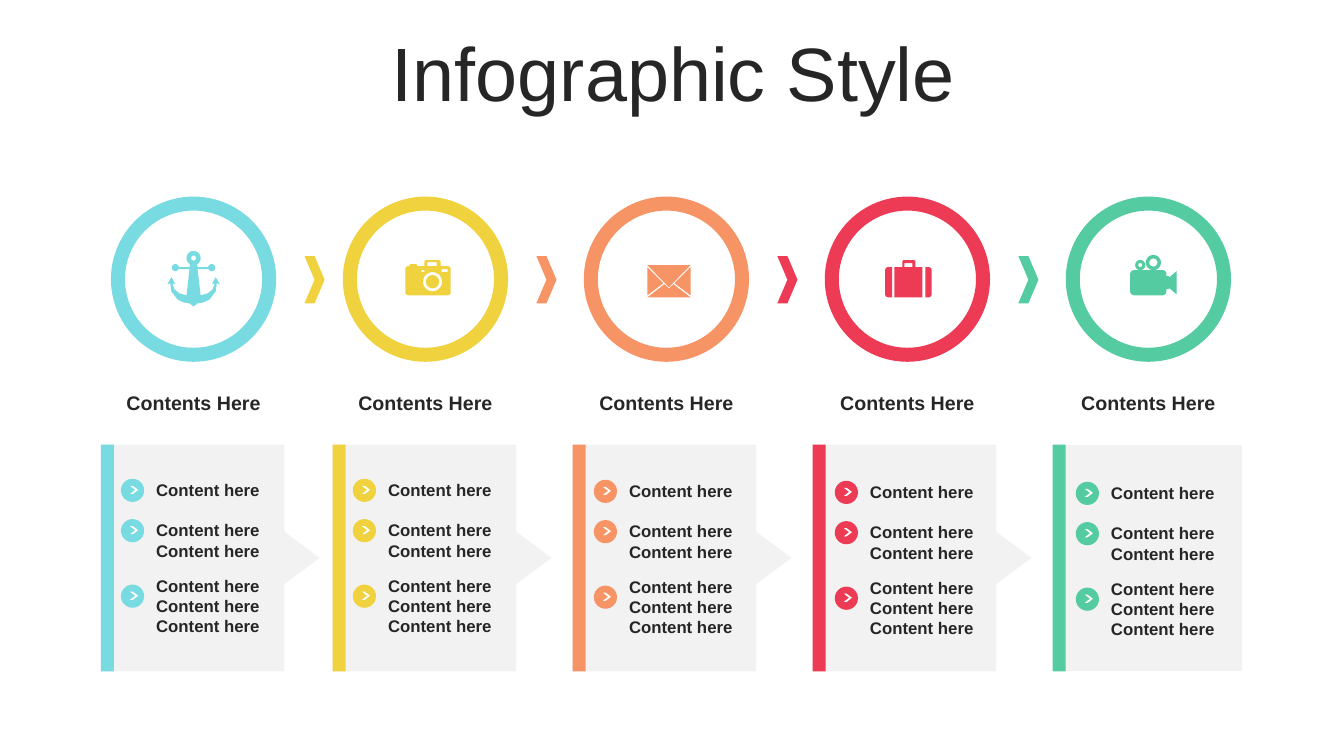
from math import cos, radians, sin

from pptx import Presentation
from pptx.dml.color import RGBColor as RGB
from pptx.enum.shapes import MSO_SHAPE as Shape
from pptx.enum.text import MSO_ANCHOR as Anchor, MSO_AUTO_SIZE as AutoSize, PP_ALIGN as Align
from pptx.util import Inches, Pt

COLORS = {
    "text": "262626", "panel": "F2F2F2", "white": "FFFFFF",
    "anchor": "77DBE1", "camera": "F0D23F", "envelope": "F79465",
    "suitcase": "ED3B55", "video": "54CBA0",
}

# Grid: the first column stands apart, the others are evenly spaced
FIRST, SECOND, PITCH, PANEL_PITCH = 1, 3.3, 2.39, 2.38
RING_TOP, RING_SIZE, ARROW_TOP = 2.02, 1.5, 2.54
HEADING_TOP, PANEL_TOP, PANEL_HEIGHT = 3.82, 4.41, 2.25
LIST_TOP, LINE_HEIGHT = 4.71, 0.2
# Line count, offset of the text and of its bullet from the top of the list
ITEMS = ((1, 0, 0.04), (2, 0.4, 0.44), (3, 0.95, 1.09))


def column(i, pitch=PITCH):
    return SECOND + (i - 1) * pitch if i else FIRST


# Outline helpers
def arc(cx, cy, r, start=0, end=360):
    steps = max(6, (end - start) // 10)
    angles = [radians(start + (end - start) * n / steps) for n in range(steps + 1)]
    return [(cx + r * cos(a), cy + r * sin(a)) for a in angles]


def box(x, y, w, h):
    return [(x, y), (x + w, y), (x + w, y + h), (x, y + h)]


def mirrored(half):
    return half + [(-x, y) for x, y in reversed(half)]


# Icon outlines in hundredths of an inch from the ring's centre
ICONS = {
    "anchor": [
        mirrored([
            *arc(0, -21, 7, 270, 420), (4, -12), (14, -12),
            *arc(18, -11.5, 3.5, 195, 525), (14, -10), (4, -10),
            (7, 16), (14, 14), (19, 10), (21, 4), (18, 5), (22, -2), (26, 5),
            (23, 4), (22, 12), (16, 20), (10, 23), (4, 24), (0, 27)]),
        arc(0, -21, 2.5)],
    "camera": [
        [*arc(1, -17, 2, 180, 270), *arc(13, -17, 2, 270, 360), (15, -13),
         *arc(22, -10, 3, 270, 360), *arc(22, 13, 3, 0, 90),
         *arc(-17, 13, 3, 90, 180), *arc(-17, -10, 3, 180, 270),
         (-16, -13), (-15, -15), (-9, -15), (-8, -13), (-1, -13)],
        arc(7, 2.5, 9.5), arc(7, 2.5, 6.5),
        box(-4, -9, 3, 2), box(16, -10, 6, 3), box(2, -17, 9, 4)],
    "envelope": [
        [(7, 5), (24, 18), (-19, 18), (-2, 5), (2.5, 9)],
        [(24, -12), (24, 16), (8, 4)],
        [(-19, -12), (-3, 4), (-19, 16)],
        [(-19, -14), (24, -14), (2.5, 8)]],
    "suitcase": [
        [(18, -12), *arc(21, -9, 3, 270, 360), *arc(21, 15, 3, 0, 90), (18, 18)],
        [(-15, 18), *arc(-19, 15, 3, 90, 180), *arc(-19, -9, 3, 180, 270), (-15, -12)],
        [(-13, -12), (-5, -12), *arc(-3, -17, 2, 180, 270),
         *arc(6, -17, 2, 270, 360), (8, -12), (15, -12), (15, 18), (-13, 18)],
        box(-3, -16, 8, 4)],
    "video": [
        [*arc(-14, -5, 4, 180, 270), *arc(14, -5, 4, 270, 360), (18, -3),
         (20, -3), (21, -2), (28, -8), (28, 15), (21, 9), (20, 10), (18, 10),
         *arc(14, 12, 4, 0, 90), *arc(-14, 12, 4, 90, 180)],
        arc(5, -16.5, 7.5), arc(5, -16.5, 4),
        arc(-8, -14, 5), arc(-8, -14, 2)],
}


# Element helpers
def paint(sp, fill, line=None, width=0):
    sp.shadow.inherit = False
    sp.fill.solid()
    sp.fill.fore_color.rgb = RGB.from_string(COLORS[fill])
    if line:
        sp.line.color.rgb = RGB.from_string(COLORS[line])
        sp.line.width = Pt(width)
    else:
        sp.line.fill.background()


def add_preset(s, kind, x, y, w, h, fill, adjust=None, **outline):
    sp = s.shapes.add_shape(kind, *map(Inches, (x, y, w, h)))
    if adjust is not None:
        sp.adjustments[0] = adjust
    paint(sp, fill, **outline)


def add_outline(s, contours, x, y, fill, unit=1):
    placed = [[(Inches(x + px * unit), Inches(y + py * unit)) for px, py in c]
              for c in contours]
    builder = s.shapes.build_freeform(*placed[0][0])
    for n, points in enumerate(placed):
        if n:
            builder.move_to(*points[0])
        builder.add_line_segments(points[1:], close=True)
    paint(builder.convert_to_shape(), fill)


def write(sp, lines, size, bold=False, align=Align.LEFT, spacing=None, fit=AutoSize.NONE):
    tf = sp.text_frame
    tf.word_wrap, tf.auto_size, tf.vertical_anchor = True, fit, Anchor.MIDDLE
    for n, line in enumerate(lines):
        p = tf.add_paragraph() if n else tf.paragraphs[0]
        p.alignment, p.line_spacing = align, spacing
        r = p.add_run()
        r.text = line
        r.font.name, r.font.size, r.font.bold = "Arial", Pt(size), bold
        r.font.color.rgb = RGB.from_string(COLORS["text"])


def add_text(s, x, y, w, h, lines, size, **style):
    sp = s.shapes.add_textbox(*map(Inches, (x, y, w, h)))
    write(sp, lines, size, bold=True, fit=AutoSize.SHAPE_TO_FIT_TEXT, **style)


# Parts of a step
def add_step(s, i, name):
    left = column(i)
    add_preset(s, Shape.OVAL, left + 0.17, RING_TOP, RING_SIZE, RING_SIZE,
               "white", line=name, width=10)
    add_outline(s, ICONS[name], left + 0.92, RING_TOP + RING_SIZE / 2, name, unit=0.01)
    add_text(s, left, HEADING_TOP, 1.84, 0.34, ["Contents Here"], 14, align=Align.CENTER)


def add_panel(s, i, name, last):
    left, mid = column(i, PANEL_PITCH), PANEL_HEIGHT / 2
    panel = box(0, 0, 1.88 if last else 1.82, PANEL_HEIGHT)
    if not last:
        panel[2:2] = [(1.82, mid - 0.26), (2.17, mid), (1.82, mid + 0.26)]
    add_outline(s, [panel], left, PANEL_TOP, "panel")
    add_preset(s, Shape.RECTANGLE, left, PANEL_TOP, 0.13, PANEL_HEIGHT, name)


def add_list(s, i, name):
    left, top = column(i) + 0.2, LIST_TOP + 0.01 * max(0, i - 1)
    for count, text_y, bullet_y in ITEMS:
        y = top + bullet_y
        add_preset(s, Shape.OVAL, left, y, 0.23, 0.23, name)
        add_preset(s, Shape.CHEVRON, left + 0.09, y + 0.07, 0.08, 0.08, "white", adjust=0.65)
        add_text(s, left + 0.25, top + text_y, 1.38, 0.1 + count * LINE_HEIGHT,
                 ["Content here"] * count, 12)


def main():
    prs = Presentation()
    prs.slide_width, prs.slide_height = Inches(13.33), Inches(7.5)
    s = prs.slides.add_slide(prs.slide_layouts[5])

    # Title
    title = s.shapes.title
    title.left, title.top, title.width, title.height = map(Inches, (0.35, 0.37, 12.66, 0.79))
    write(title, ["Infographic Style"], 54, align=Align.CENTER, spacing=0.9)

    # Five steps, each with an arrow from the one before
    for i, name in enumerate(ICONS):
        add_step(s, i, name)
        add_panel(s, i, name, last=i == len(ICONS) - 1)
        add_list(s, i, name)
        if i:
            add_preset(s, Shape.CHEVRON, column(i - 1) + 2.02, ARROW_TOP, 0.2, 0.47, name)

    prs.save("out.pptx")


if __name__ == "__main__":
    main()
